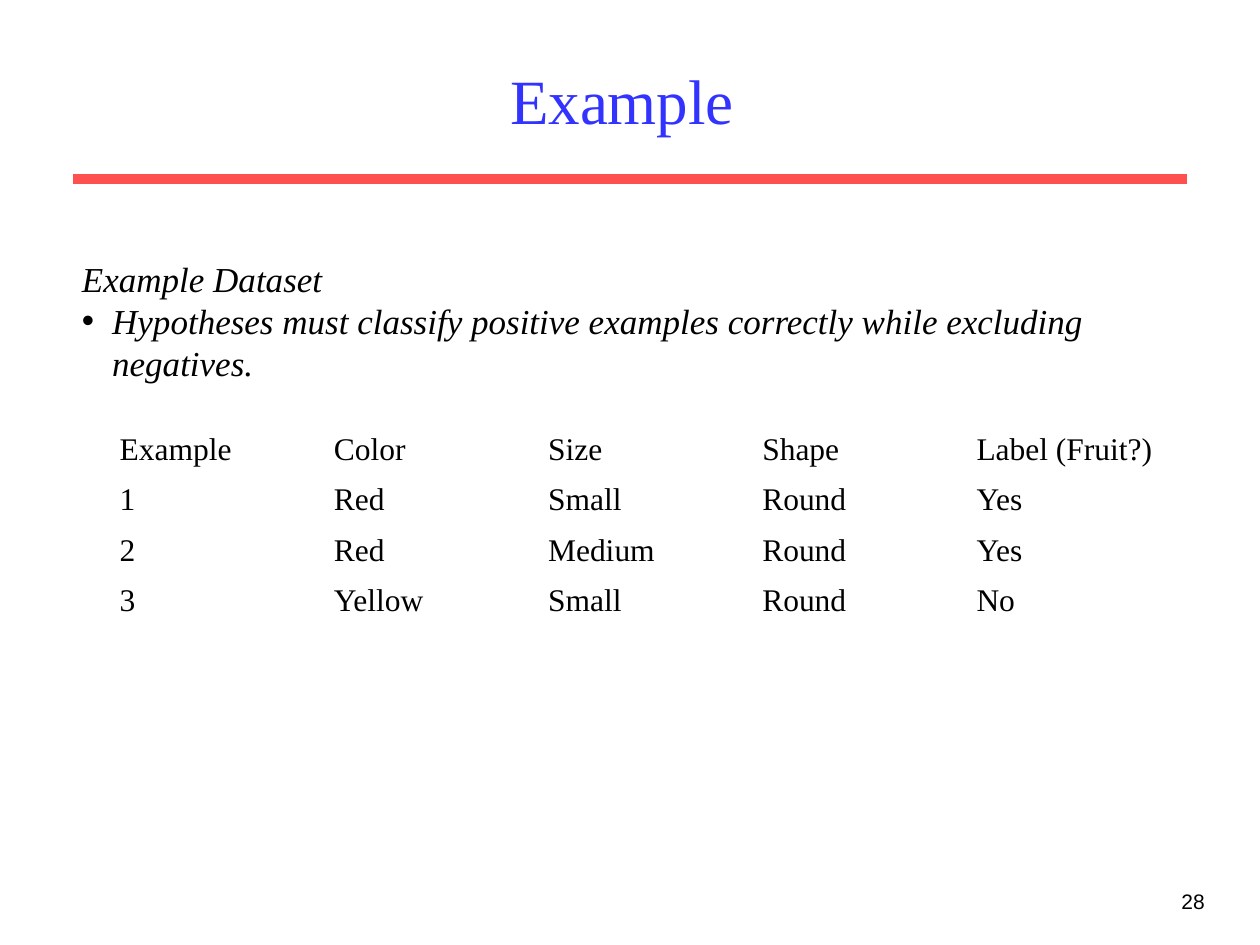
from dataclasses import dataclass

from lxml import etree
from pptx import Presentation
from pptx.dml.color import RGBColor
from pptx.enum.shapes import MSO_CONNECTOR
from pptx.enum.text import MSO_ANCHOR, MSO_AUTO_SIZE, PP_ALIGN
from pptx.oxml.ns import qn
from pptx.util import Inches, Pt

STRAIGHT = MSO_CONNECTOR.STRAIGHT
TOP, MIDDLE = MSO_ANCHOR.TOP, MSO_ANCHOR.MIDDLE
NO_FIT = MSO_AUTO_SIZE.NONE
LEFT, CENTER, RIGHT = PP_ALIGN.LEFT, PP_ALIGN.CENTER, PP_ALIGN.RIGHT


@dataclass(frozen=True)
class Theme:
    serif: str = "Times New Roman"
    sans: str = "Arial"
    title_color: RGBColor = RGBColor(0x33, 0x33, 0xFF)
    rule_color: RGBColor = RGBColor(0xFF, 0x50, 0x50)
    text_color: RGBColor = RGBColor(0, 0, 0)
    title_size: Pt = Pt(36)
    body_size: Pt = Pt(20)
    body_leading: Pt = Pt(24)
    table_size: Pt = Pt(18)
    number_size: Pt = Pt(12)
    rule_width: Pt = Pt(6)


THEME = Theme()
ROWS = [
    ["Example", "Color", "Size", "Shape", "Label (Fruit?)"],
    ["1", "Red", "Small", "Round", "Yes"],
    ["2", "Red", "Medium", "Round", "Yes"],
    ["3", "Yellow", "Small", "Round", "No"],
]


def place(sp, box):
    sp.left, sp.top, sp.width, sp.height = (Inches(v) for v in box)


def add_run(p, text, size, color=THEME.text_color, font=THEME.serif, italic=False):
    r = p.add_run()
    r.text = text
    r.font.size = size
    r.font.name = font
    r.font.color.rgb = color
    r.font.italic = italic


def set_bullet(p, char=None, indent=0):
    pPr = p._p.get_or_add_pPr()
    pPr.set("marL", str(Inches(indent)))
    pPr.set("indent", str(-Inches(indent)))
    if char:
        etree.SubElement(pPr, qn("a:buFont")).set("typeface", THEME.sans)
        etree.SubElement(pPr, qn("a:buChar")).set("char", char)
    else:
        etree.SubElement(pPr, qn("a:buNone"))


def add_title(s, box, text):
    sp = s.shapes.title
    place(sp, box)
    tf = sp.text_frame
    tf.auto_size = NO_FIT
    tf.vertical_anchor = MIDDLE
    p = tf.paragraphs[0]
    p.alignment = CENTER
    add_run(p, text, THEME.title_size, THEME.title_color)


def add_rule(s, left, right, y):
    line = s.shapes.add_connector(
        STRAIGHT, Inches(left), Inches(y), Inches(right), Inches(y)
    )
    line.line.color.rgb = THEME.rule_color
    line.line.width = THEME.rule_width
    etree.SubElement(line._element.spPr, qn("a:effectLst"))


def add_body(s, box, heading, bullet):
    sp = s.placeholders[1]
    place(sp, box)
    tf = sp.text_frame
    tf.word_wrap = True
    tf.auto_size = NO_FIT
    tf.vertical_anchor = TOP
    paragraphs = [tf.paragraphs[0], tf.add_paragraph()]
    for p, text in zip(paragraphs, (heading, bullet)):
        p.alignment = LEFT
        p.space_before = Pt(0)
        p.line_spacing = THEME.body_leading
        add_run(p, text, THEME.body_size, italic=True)
    set_bullet(paragraphs[0])
    set_bullet(paragraphs[1], "•", 0.24)


def add_examples(s, box, rows):
    frame = s.shapes.add_table(len(rows), len(rows[0]), *(Inches(v) for v in box))
    table = frame.table
    table.first_row = False
    table.horz_banding = False
    for r, row in enumerate(rows):
        for c, text in enumerate(row):
            cell = table.cell(r, c)
            cell.fill.background()
            cell.vertical_anchor = MIDDLE
            add_run(cell.text_frame.paragraphs[0], text, THEME.table_size)
            tcPr = cell._tc.get_or_add_tcPr()
            for i, side in enumerate(("a:lnL", "a:lnR", "a:lnT", "a:lnB")):
                ln = etree.Element(qn(side))
                etree.SubElement(ln, qn("a:noFill"))
                tcPr.insert(i, ln)


def add_number(s, box, text):
    tf = s.shapes.add_textbox(*(Inches(v) for v in box)).text_frame
    tf.word_wrap = True
    p = tf.paragraphs[0]
    p.alignment = RIGHT
    add_run(p, text, THEME.number_size, font=THEME.sans)


def main():
    prs = Presentation()
    prs.slide_width, prs.slide_height = Inches(10), Inches(7.5)
    s = prs.slides.add_slide(prs.slide_layouts[1])
    add_rule(s, 0.58, 9.42, 1.42)
    add_title(s, (0.75, 0.25, 8.5, 1.08), "Example ")
    add_number(s, (7.58, 7, 2.08, 0.5), "28")
    add_examples(s, (0.85, 3.37, 8.5, 1.6), ROWS)
    add_body(
        s,
        (0.55, 1.99, 9.21, 1.1),
        "Example Dataset",
        "Hypotheses must classify positive examples correctly while excluding negatives.",
    )
    prs.save("out.pptx")


if __name__ == "__main__":
    main()
